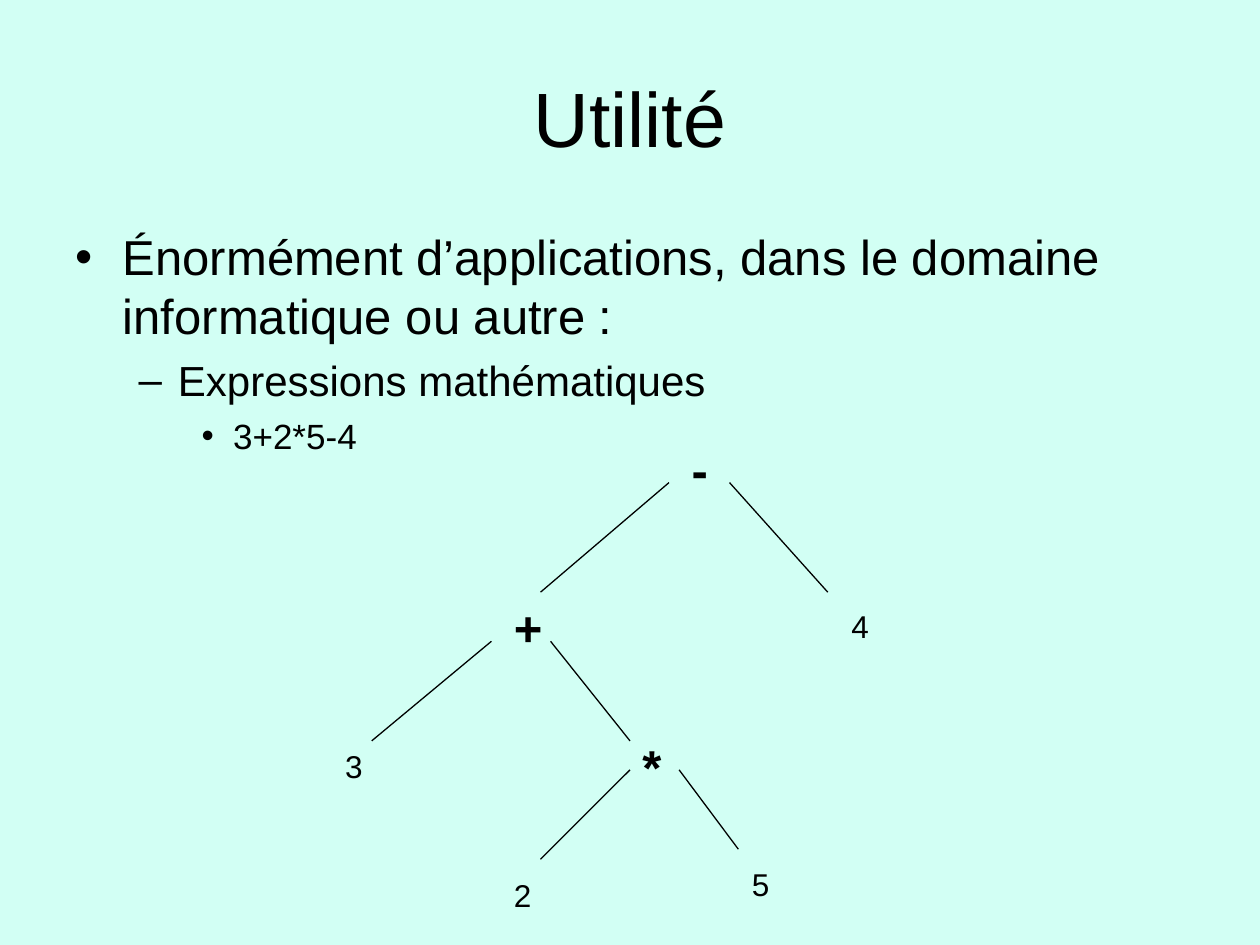
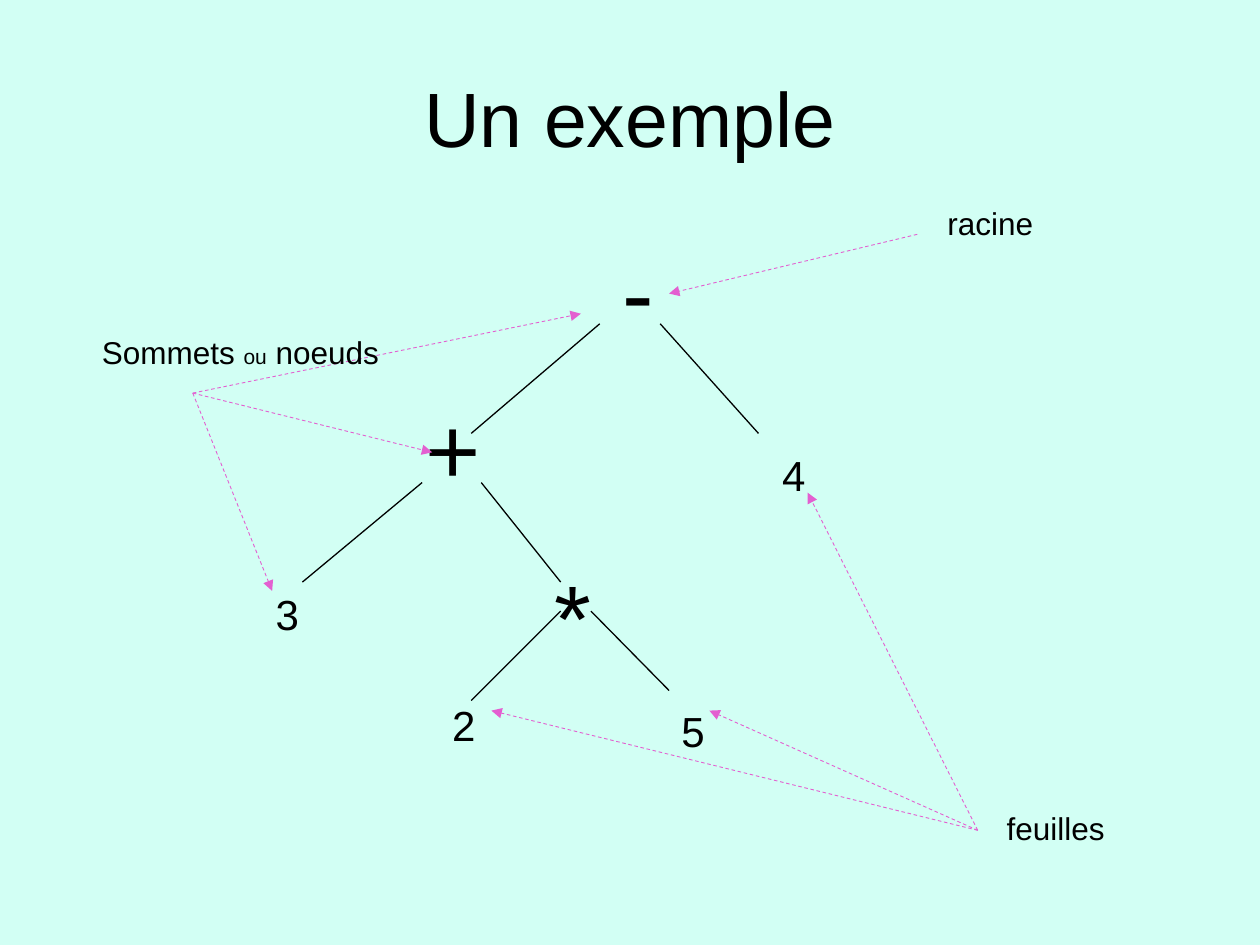
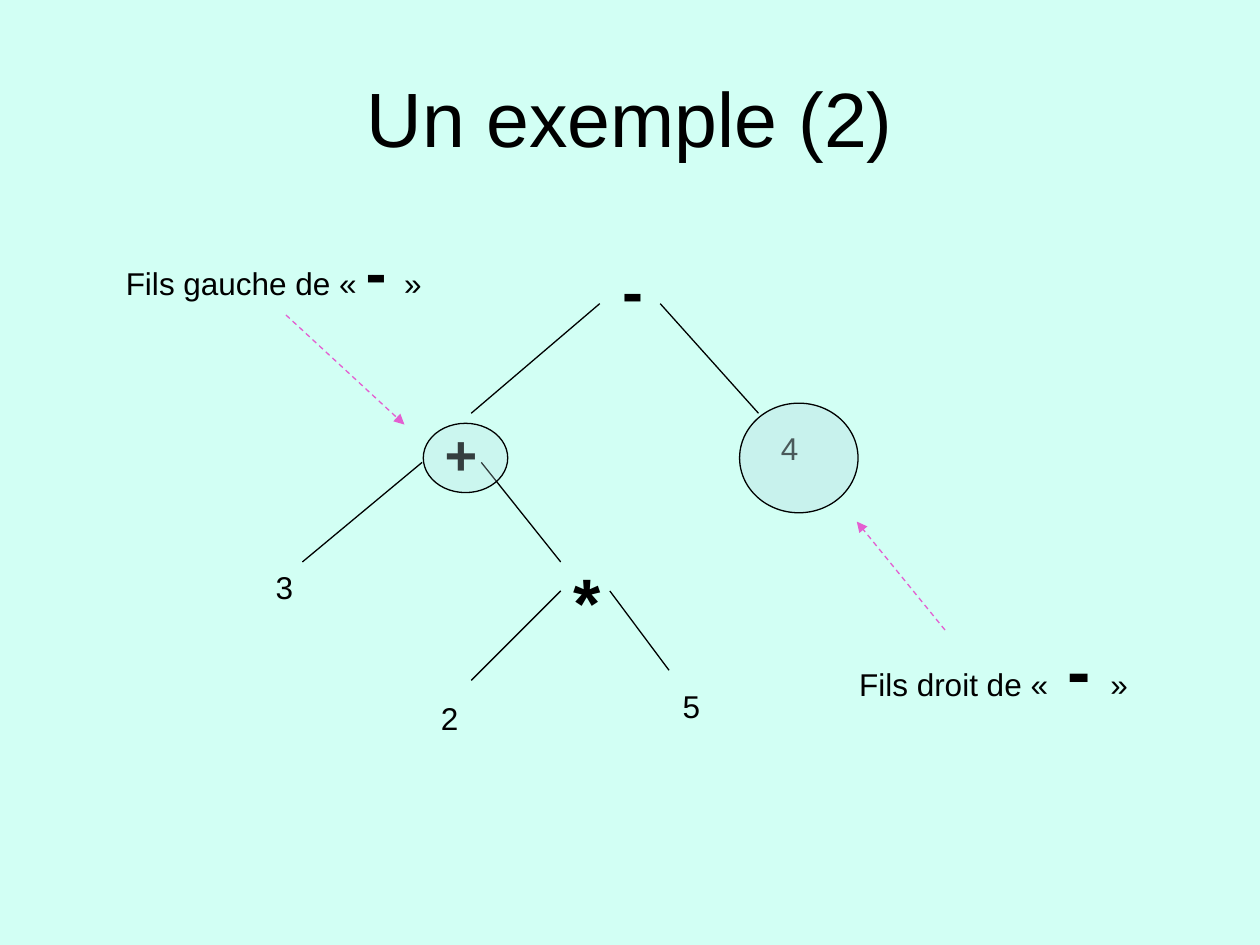
"""Three slides on expression trees, laid out on a grid of 100 columns by 75 rows."""
from typing import NamedTuple

import pptx
import pptx.dml.color
import pptx.enum.dml
import pptx.enum.shapes
import pptx.enum.text
import pptx.oxml
import pptx.oxml.ns
import pptx.util
from lxml import etree

CELL = pptx.util.Inches(0.1)
FONT = "Arial"
INK, PINK, MINT, TEAL = "000000", "E35FD0", "D2FFF4", "BBE0E3"
ALIGN = pptx.enum.text.PP_ALIGN
SIZE = pptx.enum.text.MSO_AUTO_SIZE


class Run(NamedTuple):
    text: str
    size: float
    bold: bool = False


class Box(NamedTuple):
    col: float
    row: float
    wide: float
    high: float


class Label(NamedTuple):
    box: Box
    runs: list[Run]
    wrap: bool = False
    align: ALIGN = ALIGN.LEFT


class Point(NamedTuple):
    col: float
    row: float


class Oval(NamedTuple):
    box: Box
    alpha: int


class Fan(NamedTuple):
    start: Point
    ends: list[Point]


class Tree(NamedTuple):
    root: Point
    fork: float
    nodes: list[Label]


class Page(NamedTuple):
    title: str
    tree: Tree
    ovals: list[Oval] = []
    fans: list[Fan] = []
    width: float = 0.75
    notes: list[Label] = []


class Item(NamedTuple):
    text: str
    size: float
    before: float


TITLE = Box(5, 3, 90, 12.5)
BODY = Box(5, 17.5, 90, 23.9)
ITEMS = [
    Item("Énormément d’applications, dans le domaine informatique ou autre :", 28, 7),
    Item("Expressions mathématiques", 24, 6),
    Item("3+2*5-4", 20, 5),
]


def node(text: str, size: float, box: Box, bold: bool = False, wrap: bool = False) -> Label:
    """Make the label of one tree node."""
    return Label(box, [Run(text, size, bold)], wrap)


PAGES = [
    Page("Utilité", Tree(Point(55.5, 38.3), -1.6, [
        node("-", 28, Box(53.9, 34.4, 4.7, 5.7), True, True),
        node("4", 18, Box(66.6, 47.7, 3.4, 4)),
        node("+", 28, Box(39.8, 46.9, 4.2, 5.7), True),
        node("3", 18, Box(26.4, 58.8, 3.4, 4), wrap=True),
        node("*", 28, Box(50, 58, 3.5, 5.7), True),
        node("2", 18, Box(39.8, 69, 3.4, 4)),
        node("5", 18, Box(58.7, 68.2, 3.4, 4)),
    ])),
    Page("Un exemple", Tree(Point(50, 25.7), -3.1, [
        node("-", 54, Box(48.4, 18, 4.5, 10), wrap=True),
        node("4", 24, Box(61.1, 35.2, 3.8, 5)),
        node("+", 54, Box(32.8, 30.5, 6.4, 10)),
        node("3", 24, Box(20.9, 46.2, 3.4, 5), wrap=True),
        node("*", 54, Box(43, 43.8, 4.1, 10), wrap=True),
        node("5", 24, Box(53.1, 55.5, 3.8, 5)),
        node("2", 24, Box(34.9, 55, 3.8, 5)),
    ]), fans=[
        Fan(Point(72.8, 18.6), [Point(53.1, 23.3)]),
        Fan(Point(77.6, 65.9), [Point(64.1, 39.1), Point(56.3, 56.4), Point(39, 56.4)]),
        Fan(Point(15.3, 31.2), [Point(21.6, 46.9), Point(34.3, 35.9), Point(46.1, 24.9)]),
    ], width=0.5, notes=[
        Label(Box(74.2, 15.7, 8.8, 4), [Run("racine", 18)]),
        Label(Box(78.9, 63.7, 9.8, 4), [Run("feuilles", 18)]),
        Label(Box(7.1, 25.9, 24, 4), [Run("Sommets ", 18), Run("ou", 12), Run(" noeuds", 18)]),
    ]),
    Page("Un exemple (2)", Tree(Point(50, 24.1), -1.6, [
        node("-", 36, Box(48.4, 19.5, 3.6, 7), True),
        node("4", 18, Box(61, 33.6, 3.4, 4)),
        node("+", 32, Box(34.3, 32.8, 4.6, 6.4), True),
        node("3", 18, Box(20.9, 44.6, 3.4, 4), wrap=True),
        node("*", 40, Box(44.5, 43.8, 4.1, 7.7), True),
        node("5", 18, Box(53.2, 54, 3.4, 4)),
        node("2", 18, Box(34, 55, 3.4, 4)),
    ]), ovals=[
        Oval(Box(33.6, 33.6, 6.7, 5.5), 28),
        Oval(Box(58.7, 32, 9.4, 8.7), 40),
    ], fans=[
        Fan(Point(22.7, 25), [Point(32.1, 33.7)]),
        Fan(Point(75, 50), [Point(68, 41.4)]),
    ], notes=[
        Label(Box(9, 18, 25.5, 7),
              [Run("Fils gauche de « ", 18), Run("- ", 36, True), Run("»", 18)]),
        Label(Box(64.1, 49.2, 29.5, 7.7),
              [Run("Fils droit de «", 18), Run(" - ", 40, True), Run("»", 18)],
              True, ALIGN.CENTER),
    ]),
]


def tint(text: str) -> pptx.dml.color.RGBColor:
    """Turn a hex string into a colour."""
    return pptx.dml.color.RGBColor.from_string(text)


def grid(*cells: float) -> list[int]:
    """Turn grid cells into lengths."""
    return [round(cell * CELL) for cell in cells]


def place(shape, box: Box) -> None:
    """Move a shape to its box."""
    shape.left, shape.top, shape.width, shape.height = grid(*box)


def write(para, runs: list[Run]) -> None:
    """Add the runs to a paragraph."""
    for part in runs:
        run = para.add_run()
        run.text = part.text
        run.font.name = FONT
        run.font.size = pptx.util.Pt(part.size)
        run.font.bold = part.bold
        run.font.color.rgb = tint(INK)


def head(slide, text: str) -> None:
    """Fill and place the title."""
    title = slide.shapes.title
    place(title, TITLE)
    title.text_frame.vertical_anchor = pptx.enum.text.MSO_ANCHOR.MIDDLE
    para = title.text_frame.paragraphs[0]
    para.alignment = ALIGN.CENTER
    write(para, [Run(text, 44)])


def listing(slide, items: list[Item]) -> None:
    """Fill the body with items, each one level deeper."""
    body = slide.placeholders[1]
    place(body, BODY)
    frame = body.text_frame
    frame.auto_size = SIZE.NONE
    for level, item in enumerate(items):
        para = frame.add_paragraph() if level else frame.paragraphs[0]
        para.level = level
        para.space_before = pptx.util.Pt(item.before)
        write(para, [Run(item.text, item.size)])


def label(slide, item: Label) -> None:
    """Draw one text box."""
    frame = slide.shapes.add_textbox(*grid(*item.box)).text_frame
    frame.word_wrap = item.wrap
    frame.auto_size = SIZE.SHAPE_TO_FIT_TEXT
    frame.paragraphs[0].alignment = item.align
    write(frame.paragraphs[0], item.runs)


def stroke(slide, start: Point, end: Point, color: str, width: float, arrow: bool = False) -> None:
    """Draw a plain line or a dashed arrow."""
    kind = pptx.enum.shapes.MSO_CONNECTOR.STRAIGHT
    link = slide.shapes.add_connector(kind, *grid(*start, *end))
    link.line.color.rgb = tint(color)
    link.line.width = pptx.util.Pt(width)
    props = link.element.spPr
    if arrow:
        link.line.dash_style = pptx.enum.dml.MSO_LINE.DASH
        line = props.find(pptx.oxml.ns.qn("a:ln"))
        etree.SubElement(line, pptx.oxml.ns.qn("a:tailEnd")).set("type", "triangle")
    etree.SubElement(props, pptx.oxml.ns.qn("a:effectLst"))


def oval(slide, item: Oval) -> None:
    """Draw a see-through ellipse."""
    shape = slide.shapes.add_shape(pptx.enum.shapes.MSO_SHAPE.OVAL, *grid(*item.box))
    shape.shadow.inherit = False
    shape.fill.solid()
    shape.fill.fore_color.rgb = tint(TEAL)
    color = shape.element.spPr.find(".//" + pptx.oxml.ns.qn("a:srgbClr"))
    etree.SubElement(color, pptx.oxml.ns.qn("a:alpha")).set("val", str(item.alpha * 1000))
    shape.line.color.rgb = tint(INK)
    shape.line.width = pptx.util.Pt(0.75)


def grow(slide, tree: Tree) -> None:
    """Draw the branches from the root down, then the nodes."""
    edges = [
        (-2.4, 0, -12.6, 8.7), (2.4, 0, 10.2, 8.7),
        (-16.5, 12.6, -26, 20.5), (-11.8, 12.6, -5.5, 20.5),
        (-5.5, 22.8, -12.6, 29.9), (tree.fork, 22.8, 3.1, 29.1),
    ]
    col, row = tree.root
    for left, top, right, low in edges:
        stroke(slide, Point(col + left, row + top), Point(col + right, row + low), INK, 0.75)
    for item in tree.nodes:
        label(slide, item)


def draw(slide, page: Page) -> None:
    """Draw one page."""
    head(slide, page.title)
    grow(slide, page.tree)
    for item in page.ovals:
        oval(slide, item)
    for fan in page.fans:
        for end in fan.ends:
            stroke(slide, fan.start, end, PINK, page.width, arrow=True)
    for note in page.notes:
        label(slide, note)


def main() -> None:
    """Build and save the slides."""
    deck = pptx.Presentation()
    deck.slide_width, deck.slide_height = grid(100, 75)
    back = deck.slide_master.background.fill
    back.solid()
    back.fore_color.rgb = tint(MINT)
    full, bare = deck.slide_layouts[1], deck.slide_layouts[5]
    for index, page in enumerate(PAGES):
        slide = deck.slides.add_slide(bare if index else full)
        if not index:
            listing(slide, ITEMS)
        draw(slide, page)
    deck.save("out.pptx")


if __name__ == "__main__":
    main()
